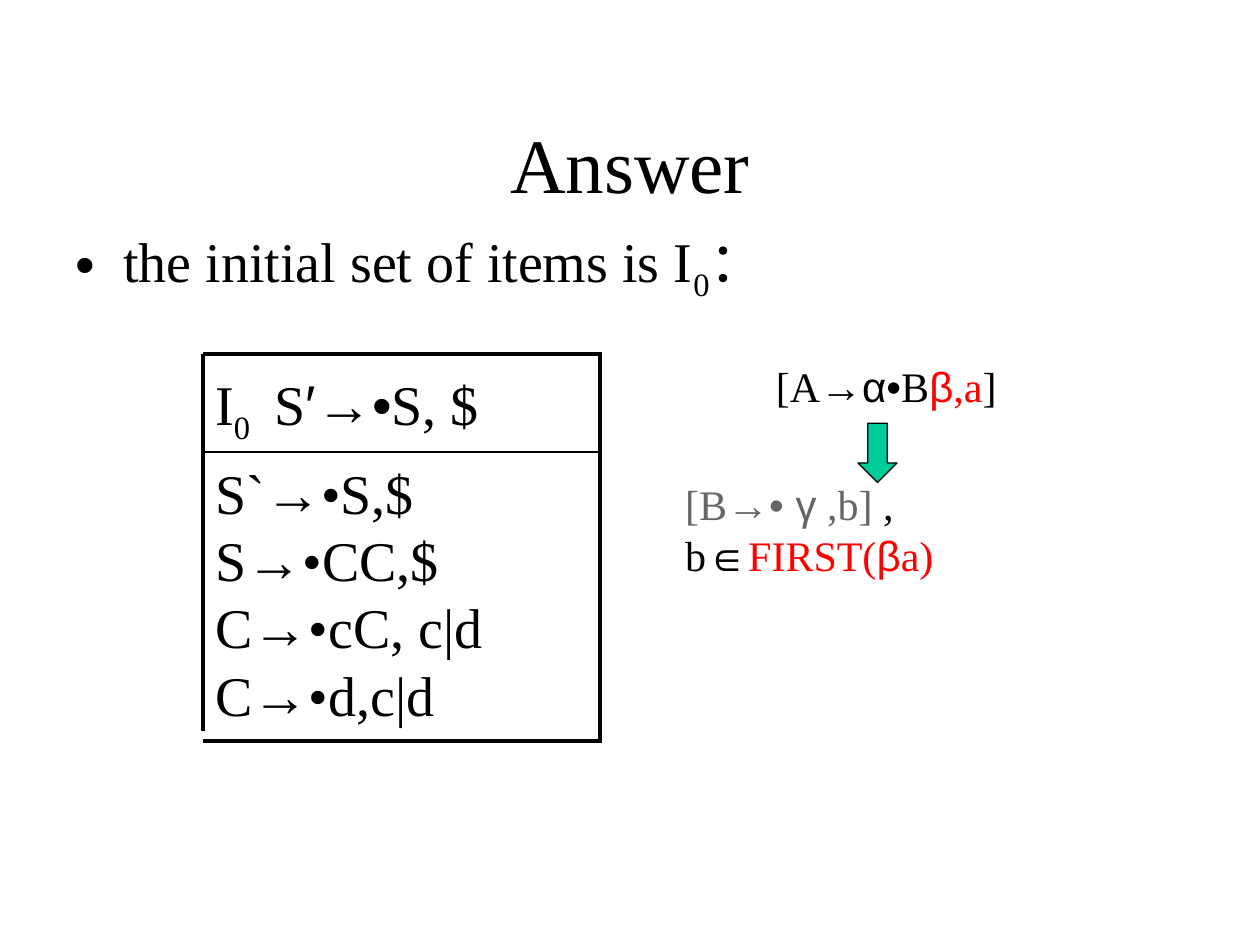
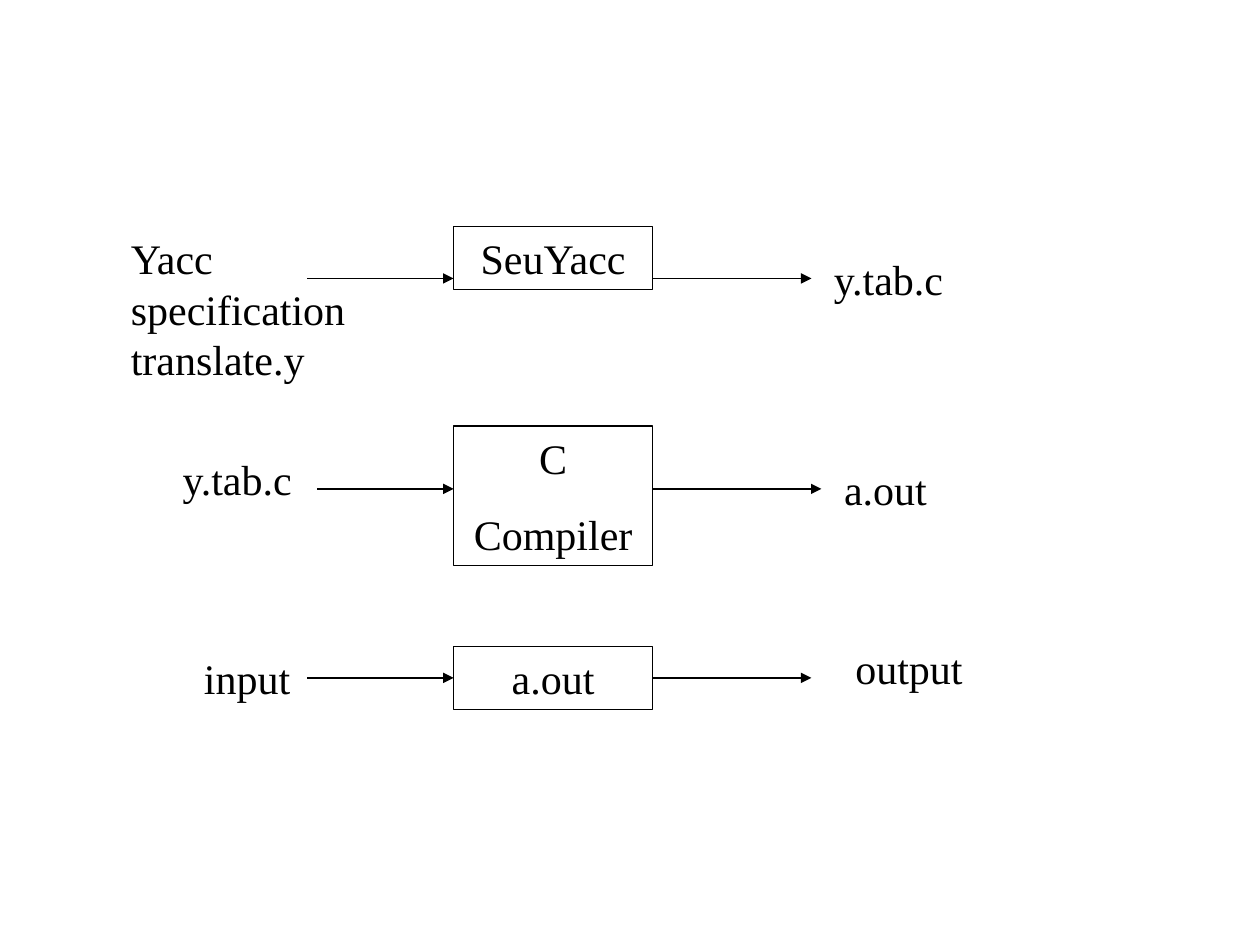
"""Build two slides: an LR(1) item set and the Yacc tool chain."""
from dataclasses import dataclass
from typing import NamedTuple

from lxml import etree
from pptx import Presentation
from pptx.dml.color import RGBColor
from pptx.enum.shapes import MSO_CONNECTOR as CONN, MSO_SHAPE as SHAPE
from pptx.enum.text import MSO_ANCHOR as ANCHOR, MSO_AUTO_SIZE as FIT, PP_ALIGN as ALIGN
from pptx.oxml.ns import qn
from pptx.util import Inches, Pt

SERIF, SANS = "Times New Roman", "Arial"
BLACK, RED, GRAY, GREEN = "000000", "FF0000", "666666", "00CC99"
BOX_LEFT, BOX_WIDTH, LINE_HEIGHT = 3.6, 1.58, 0.5


class Run(NamedTuple):
    text: str
    font: str = SERIF
    color: str = BLACK
    sub: bool = False


class Label(NamedTuple):
    text: str
    left: float
    top: float
    width: float
    height: float = LINE_HEIGHT


@dataclass
class Stage:
    lines: list[str]
    top: float
    height: float
    arrow_y: float
    arrow_from: float
    arrow_to: float
    source: Label
    result: Label


BREAK = Run("\v")

STAGES = [
    Stage(["SeuYacc"], 1.8, 0.5, 2.21, 2.44, 6.44,
          Label("Yacc specification translate.y", 0.94, 1.8, 2.08, 1.3),
          Label("y.tab.c", 6.52, 1.96, 2)),
    Stage(["C", "Compiler"], 3.38, 1.11, 3.88, 2.52, 6.52,
          Label("y.tab.c", 1.35, 3.55, 1.58), Label("a.out", 6.6, 3.63, 2.08)),
    Stage(["a.out"], 5.13, 0.5, 5.38, 2.44, 6.44,
          Label("input", 1.52, 5.13, 1), Label("output", 6.69, 5.05, 1.33)),
]


def rgb(color: str) -> RGBColor:
    return RGBColor.from_string(color)


def write(tf, paragraphs, *, size=24, align=ALIGN.LEFT, gap=0, wrap=True,
          anchor=ANCHOR.TOP, fit=FIT.NONE):
    tf.word_wrap, tf.vertical_anchor, tf.auto_size = wrap, anchor, fit
    for i, runs in enumerate(paragraphs):
        p = tf.paragraphs[0] if i == 0 else tf.add_paragraph()
        p.alignment = align
        p.space_before = Pt(gap if i else 0)
        for run in [Run(runs)] if isinstance(runs, str) else runs:
            if run == BREAK:
                p.add_line_break()
                continue
            r = p.add_run()
            r.text = run.text
            r.font.size, r.font.name = Pt(size), run.font
            r.font.color.rgb = rgb(run.color)
            if run.sub:
                r.font._element.set("baseline", "-25000")


def place(sp, left: float, top: float, width: float, height: float):
    sp.left, sp.top, sp.width, sp.height = map(Inches, (left, top, width, height))
    return sp


def add_text(slide, box, paragraphs, **style):
    sp = slide.shapes.add_textbox(*map(Inches, box))
    write(sp.text_frame, paragraphs, **style)
    return sp


def add_block(slide, kind, box, fill=None):
    sp = slide.shapes.add_shape(kind, *map(Inches, box))
    sp.shadow.inherit = False
    if fill:
        sp.fill.solid()
        sp.fill.fore_color.rgb = rgb(fill)
    else:
        sp.fill.background()
    sp.line.color.rgb, sp.line.width = rgb(BLACK), Pt(0.75)
    return sp


def add_line(slide, x1, y1, x2, y2, width=0.75, arrow=False):
    line = slide.shapes.add_connector(CONN.STRAIGHT, *map(Inches, (x1, y1, x2, y2)))
    line.line.color.rgb, line.line.width = rgb(BLACK), Pt(width)
    if arrow:
        etree.SubElement(line.line._get_or_add_ln(), qn("a:tailEnd"), type="triangle")
    etree.SubElement(line._element.spPr, qn("a:effectLst"))
    return line


def add_bullet(p, indent: float):
    pr = p._p.get_or_add_pPr()
    pr.set("marL", str(Inches(indent)))
    pr.set("indent", str(-Inches(indent)))
    color = etree.SubElement(pr, qn("a:buClr"))
    etree.SubElement(color, qn("a:srgbClr"), val=BLACK)
    etree.SubElement(pr, qn("a:buChar"), char="•")


def add_tab(p, position: float):
    tabs = etree.SubElement(p._p.get_or_add_pPr(), qn("a:tabLst"))
    etree.SubElement(tabs, qn("a:tab"), pos=str(Inches(position)), algn="l")


def production(head: str, body: str) -> list[Run]:
    return [Run(head), Run("→", SANS), Run("•" + body)]


def build_answer(prs):
    slide = prs.slides.add_slide(prs.slide_layouts[1])
    title = place(slide.shapes.title, 0.75, 0.67, 8.5, 1.25)
    write(title.text_frame, ["Answer"], size=44, align=ALIGN.CENTER, anchor=ANCHOR.MIDDLE)
    body = place(slide.placeholders[1], 0.5, 1.75, 9, 0.82)
    write(body.text_frame,
          [[Run("the initial set of items is I"), Run("0", sub=True), Run("：")]], size=32)
    add_bullet(body.text_frame.paragraphs[0], 0.38)

    left, right, top, middle, bottom = 1.61, 4.78, 2.81, 3.59, 5.88
    width = right - left
    add_text(slide, (left, middle, width, 2.2),
             [production("S`", "S,$"), production("S", "CC,$"),
              production("C", "cC, c|d"), production("C", "d,c|d")], size=32)
    header = add_text(slide, (left, 2.88, width, 0.58),
                      [[Run("I"), Run("0", sub=True), Run("\tS"),
                        Run("′→•", SANS), Run("S, $")]], size=32)
    add_tab(header.text_frame.paragraphs[0], 0.47)
    for y, weight in ((top, 2.25), (middle, 1), (bottom, 2.25)):
        add_line(slide, left, y, right, y, weight)
    for x, end in ((left, 5.8), (4.76, bottom)):
        add_line(slide, x, top, x, end, 2.25)

    add_text(slide, (6.06, 2.81, 1.98, LINE_HEIGHT),
             [[Run("[A"), Run("→α•", SANS), Run("B"), Run("β", SANS, RED),
               Run(",a", color=RED), Run("]")]], wrap=False)
    add_text(slide, (5.34, 3.75, 3.83, LINE_HEIGHT),
             [[Run("[B", color=GRAY), Run("→• γ", SANS, GRAY), Run(" ,b] ", color=GRAY),
               Run(", "), BREAK, Run("b"), Run("∈", SANS), Run("FIRST(", color=RED),
               Run("β", SANS, RED), Run("a)", color=RED)]])
    add_block(slide, SHAPE.DOWN_ARROW, (6.81, 3.36, 0.31, 0.47), GREEN)


def add_stage(slide, stage: Stage):
    box = add_block(slide, SHAPE.RECTANGLE, (BOX_LEFT, stage.top, BOX_WIDTH, stage.height))
    write(box.text_frame, stage.lines, align=ALIGN.CENTER, gap=15, fit=FIT.SHAPE_TO_FIT_TEXT)
    y = stage.arrow_y
    inward = add_line(slide, stage.arrow_from, y, BOX_LEFT, y, arrow=True)
    outward = add_line(slide, BOX_LEFT + BOX_WIDTH, y, stage.arrow_to, y, arrow=True)
    if abs(stage.top + stage.height / 2 - y) < 0.01:
        inward.end_connect(box, 1)
        outward.begin_connect(box, 3)
    for label in (stage.source, stage.result):
        add_text(slide, label[1:], [label.text], fit=FIT.SHAPE_TO_FIT_TEXT)


def build_tool_chain(prs):
    slide = prs.slides.add_slide(prs.slide_layouts[6])
    for stage in STAGES:
        add_stage(slide, stage)


def main():
    prs = Presentation()
    prs.slide_width, prs.slide_height = Inches(10), Inches(7.5)
    build_answer(prs)
    build_tool_chain(prs)
    prs.save("out.pptx")


if __name__ == "__main__":
    main()
